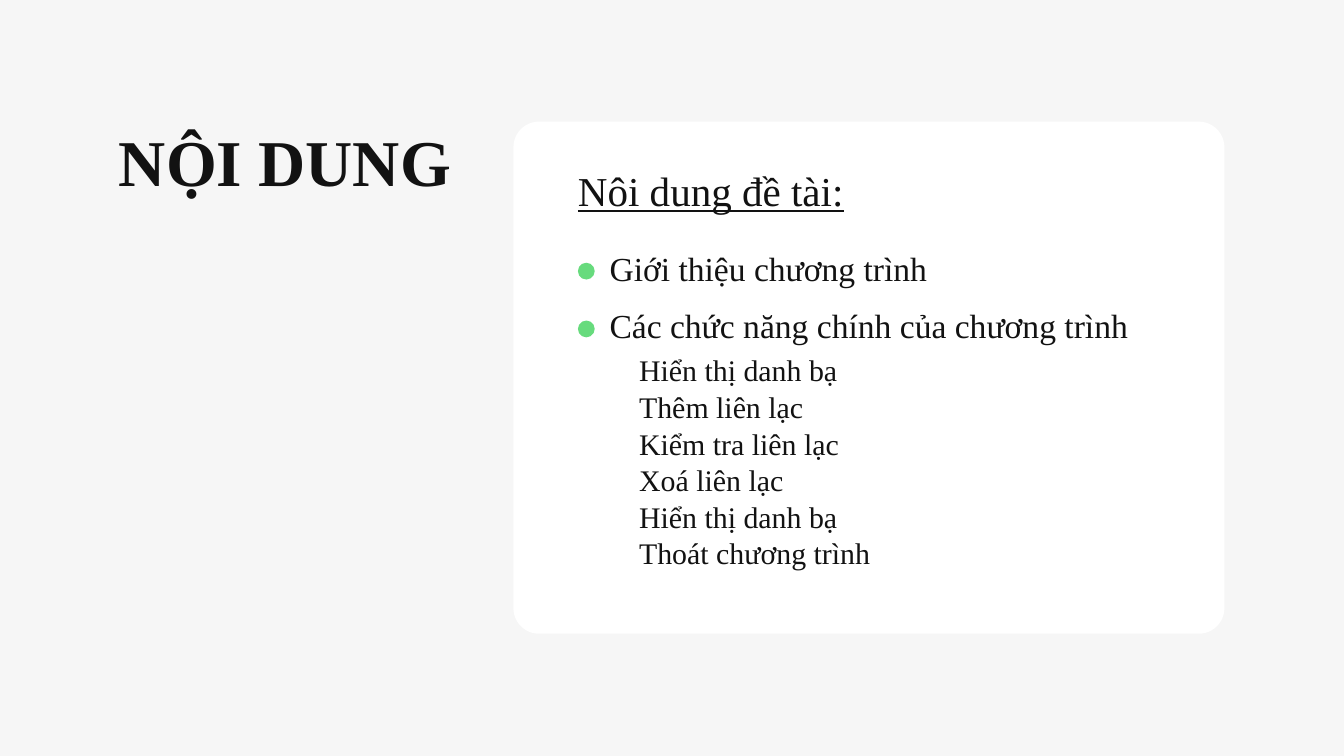
from lxml import etree
from pptx import Presentation, util as u
from pptx.dml.color import RGBColor
from pptx.enum import shapes, text
from pptx.oxml.ns import qn

INK, PAPER, WHITE, GREEN = "121212", "F6F6F6", "FFFFFF", "67DB7D"


def tint(code):
    return RGBColor.from_string(code)


class Deck:
    """Holds the style and the current slide."""
    face = "Times New Roman"

    def __init__(self, wide, high):
        self.prs = Presentation()
        self.prs.slide_width, self.prs.slide_height = u.Inches(wide), u.Inches(high)
        self.slide = self.prs.slides.add_slide(self.prs.slide_layouts[1])
        back = self.slide.background.fill
        back.solid()
        back.fore_color.rgb = tint(PAPER)

    def place(self, box, left, top, wide, high):
        spots = dict(left=left, top=top, width=wide, height=high)
        for name, size in spots.items():
            setattr(box, name, u.Inches(size))
        form = dict(margin_left=0, margin_top=0, margin_right=0, margin_bottom=0,
                    word_wrap=True, auto_size=text.MSO_AUTO_SIZE.NONE,
                    vertical_anchor=text.MSO_ANCHOR.TOP)
        for name, value in form.items():
            setattr(box.text_frame, name, value)
        return box.text_frame

    def line(self, para, words, size, pitch, gap=0, indent=0, **extra):
        props = para._p.get_or_add_pPr()
        props.set("marL", str(u.Inches(indent)))
        props.set("indent", "0")
        etree.SubElement(props, qn("a:buNone"))
        form = dict(alignment=text.PP_ALIGN.LEFT, line_spacing=u.Pt(pitch),
                    space_before=u.Pt(gap), space_after=u.Pt(0))
        for name, value in form.items():
            setattr(para, name, value)
        run = para.add_run()
        run.text = words
        for name, value in dict(name=self.face, size=u.Pt(size), **extra).items():
            setattr(run.font, name, value)
        run.font.color.rgb = tint(INK)

    def title(self, words, *spot):
        frame = self.place(self.slide.shapes.title, *spot)
        self.line(frame.paragraphs[0], words, 70, 84, bold=True)

    def label(self, words, *spot):
        box = self.slide.shapes.add_textbox(0, 0, 0, 0)
        frame = self.place(box, *spot)
        self.line(frame.paragraphs[0], words, 44, 40.8, underline=True)

    def items(self, rows, *spot):
        frame = self.place(self.slide.placeholders[1], *spot)
        for at, (words, level, gap) in enumerate(rows):
            para = frame.paragraphs[0] if at == 0 else frame.add_paragraph()
            para.level = level
            self.line(para, words, (36, 32)[level], 39.2, gap, 0.44 * level)

    def shape(self, kind, color, *spot):
        item = self.slide.shapes.add_shape(kind, *map(u.Inches, spot))
        item.shadow.inherit = False
        item.fill.solid()
        item.fill.fore_color.rgb = tint(color)
        item.line.fill.background()
        return item

    def card(self, *spot):
        item = self.shape(shapes.MSO_SHAPE.ROUNDED_RECTANGLE, WHITE, *spot)
        item.adjustments[0] = 0.05
        # Send behind the placeholders
        self.slide.shapes._spTree.insert(2, item._element)

    def dot(self, left, top):
        self.shape(shapes.MSO_SHAPE.OVAL, GREEN, left, top, 0.25, 0.25)


def main():
    deck = Deck(20, 11.25)

    # Title and white card
    deck.title("NỘI DUNG", 1.77, 1.8, 5.65, 1.18)
    deck.card(7.64, 1.81, 10.58, 7.62)
    deck.label("Nôi dung đề tài:", 8.6, 2.63, 9.15, 0.58)

    # Main points, then the functions under the second one
    tasks = ["Hiển thị danh bạ", "Thêm liên lạc", "Kiểm tra liên lạc",
             "Xoá liên lạc", "Hiển thị danh bạ", "Thoát chương trình"]
    rows = [("Giới thiệu chương trình", 0, 0),
            ("Các chức năng chính của chương trình", 0, 22.7)]
    rows += [(task, 1, 0 if at else 6) for at, task in enumerate(tasks)]
    deck.items(rows, 9.07, 3.74, 8.68, 4.71)

    # Green markers
    for row in range(2):
        deck.dot(8.6, 3.91 + 0.86 * row)

    deck.prs.save("out.pptx")


if __name__ == "__main__":
    main()
